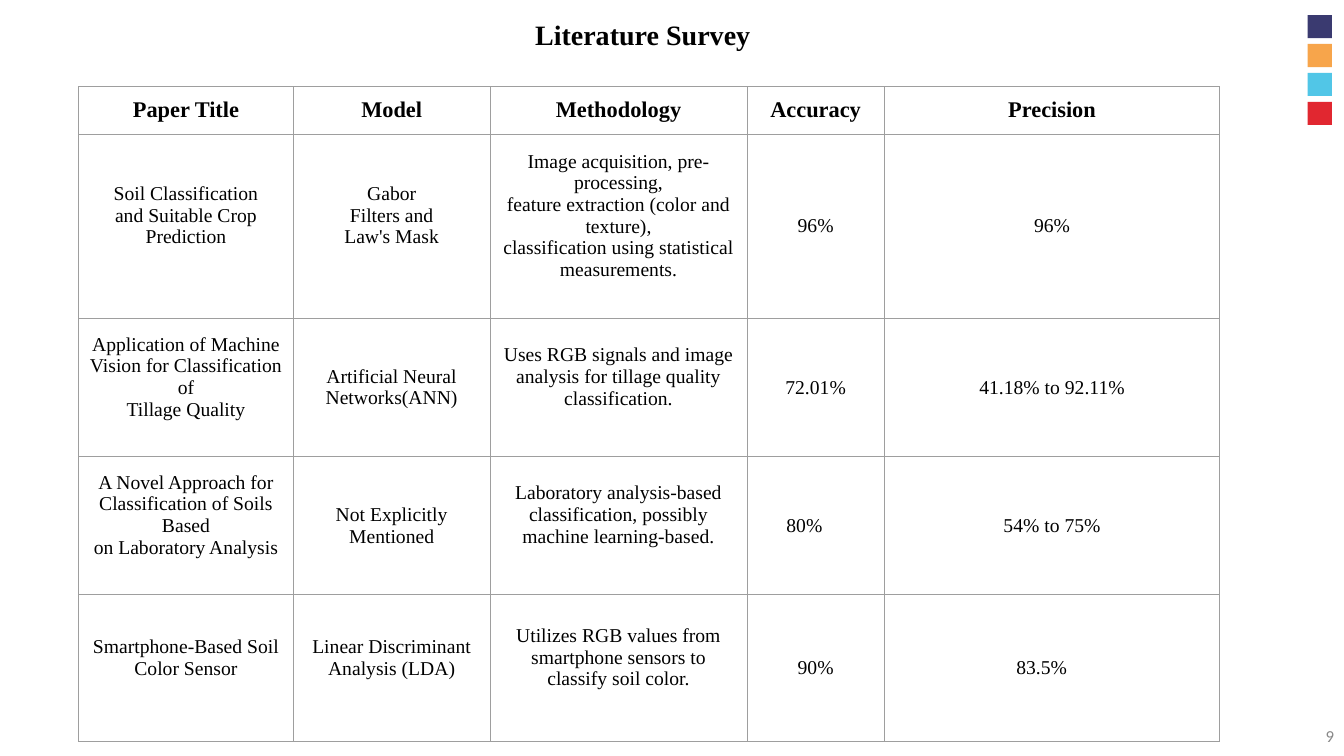
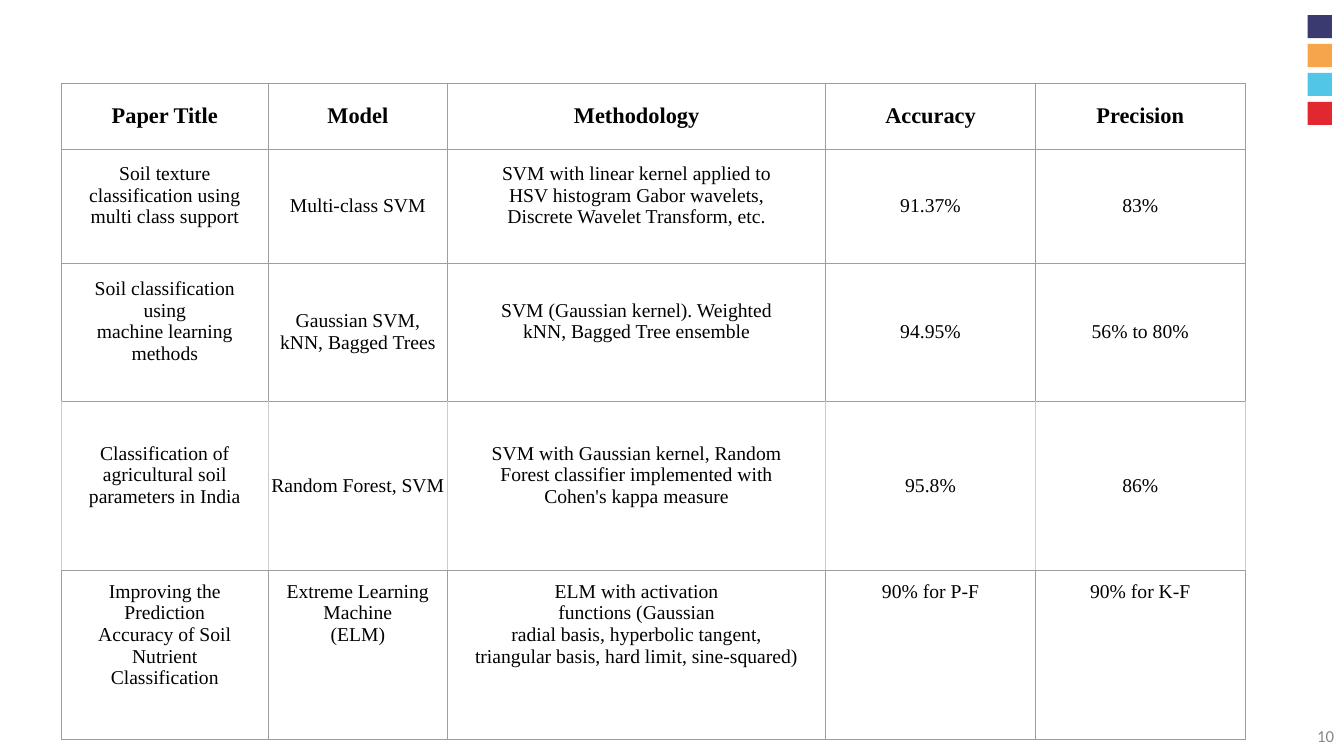
from lxml import etree
from pptx import Presentation
from pptx.dml.color import RGBColor
from pptx.enum.shapes import MSO_SHAPE
from pptx.enum.text import MSO_ANCHOR, MSO_AUTO_SIZE, PP_ALIGN
from pptx.oxml.ns import qn
from pptx.util import Inches, Pt

BLACK = RGBColor(0x00, 0x00, 0x00)
GREY = RGBColor(0x88, 0x88, 0x88)
RULE = RGBColor(0x9E, 0x9E, 0x9E)
PALE_RULE = RGBColor(0xCC, 0xCC, 0xCC)
SQUARE_COLORS = (
    RGBColor(0x3A, 0x3A, 0x70),
    RGBColor(0xF7, 0xA5, 0x4B),
    RGBColor(0x51, 0xC6, 0xE7),
    RGBColor(0xE1, 0x27, 0x30),
)

SERIF = "Times New Roman"
SANS = "Calibri"
TITLE_ONLY, BLANK = 5, 6
INSET = 0.1
TIGHT_INSET = 0.02
# Room kept below cells that hold several lines
LINE_SPACE = 0.21

HEADERS = ("Paper Title", "Model", "Methodology", "Accuracy", "Precision")

FIRST_PAPERS = (
    ("Soil Classification\nand Suitable Crop\nPrediction",
     "Gabor\nFilters and\nLaw's Mask",
     "Image acquisition, pre-processing,\n"
     "feature extraction (color and texture),\n"
     "classification using statistical\nmeasurements.",
     "96%", "96%"),
    ("Application of Machine\nVision for Classification of\nTillage Quality",
     "Artificial Neural Networks(ANN)",
     "Uses RGB signals and image\nanalysis for tillage quality\nclassification.",
     "72.01%", "41.18% to 92.11%"),
    ("A Novel Approach for\nClassification of Soils Based\non Laboratory Analysis",
     "Not Explicitly Mentioned",
     "Laboratory analysis-based\nclassification, possibly\nmachine learning-based.",
     "80%", "54% to 75%"),
    ("Smartphone-Based Soil\nColor Sensor",
     "Linear Discriminant\nAnalysis (LDA)",
     "Utilizes RGB values from\nsmartphone sensors to\nclassify soil color.",
     "90%", "83.5%"),
)

SECOND_PAPERS = (
    ("Soil texture\nclassification using\nmulti class support",
     "Multi-class SVM",
     "SVM with linear kernel applied to\nHSV histogram Gabor wavelets,\n"
     "Discrete Wavelet Transform, etc.",
     "91.37%", "83%"),
    ("Soil classification using\nmachine learning\nmethods",
     "Gaussian SVM, kNN, Bagged Trees",
     "SVM (Gaussian kernel). Weighted\nkNN, Bagged Tree ensemble",
     "94.95%", "56% to 80%"),
    ("Classification of\nagricultural soil\nparameters in India",
     "Random Forest, SVM",
     "SVM with Gaussian kernel, Random\nForest classifier implemented with\n"
     "Cohen's kappa measure",
     "95.8%", "86%"),
    ("Improving the\nPrediction\nAccuracy of Soil\nNutrient\nClassification",
     "Extreme Learning Machine\n(ELM)",
     "ELM with activation\nfunctions (Gaussian\nradial basis, hyperbolic tangent,\n"
     "triangular basis, hard limit, sine-squared)",
     "90% for P-F", "90% for K-F"),
)


def write(tf, text, size, color=BLACK, font=SERIF, bold=False, align=PP_ALIGN.CENTER):
    """Put each line of the text in its own paragraph."""
    for i, line in enumerate(text.split("\n")):
        p = tf.paragraphs[0] if i == 0 else tf.add_paragraph()
        p.alignment = align
        r = p.add_run()
        r.text = line
        r.font.name = font
        r.font.size = Pt(size)
        r.font.bold = bold
        r.font.color.rgb = color


def add_master_squares(prs, slide):
    """Draw the colour squares on a slide and move them to its master."""
    step = (1.01 - 0.15) / 3
    for i, color in enumerate(SQUARE_COLORS):
        sp = slide.shapes.add_shape(MSO_SHAPE.RECTANGLE, Inches(12.97),
                                    Inches(0.15 + i * step), Inches(0.24), Inches(0.23))
        sp.shadow.inherit = False
        sp.fill.solid()
        sp.fill.fore_color.rgb = color
        sp.line.fill.background()
        prs.slide_master.shapes.element.append(sp.element)


def add_page_number(slide, number):
    box = slide.shapes.add_textbox(Inches(10.33), Inches(7.1), Inches(3), Inches(0.4))
    tf = box.text_frame
    tf.word_wrap = True
    tf.vertical_anchor = MSO_ANCHOR.MIDDLE
    write(tf, str(number), 12, GREY, SANS, align=PP_ALIGN.RIGHT)


def set_title(slide, text):
    title = slide.shapes.title
    title.left, title.top = Inches(3.97), Inches(0.07)
    title.width, title.height = Inches(4.81), Inches(0.63)
    tf = title.text_frame
    tf.auto_size = MSO_AUTO_SIZE.NONE
    tf.vertical_anchor = MSO_ANCHOR.TOP
    tf.margin_left = tf.margin_right = tf.margin_top = tf.margin_bottom = Inches(INSET)
    write(tf, text, 20, bold=True)


def set_borders(cell, side_color=RULE, side_width=0.75):
    tc_pr = cell._tc.get_or_add_tcPr()
    sides = (("a:lnL", side_color, side_width), ("a:lnR", side_color, side_width),
             ("a:lnT", RULE, 0.75), ("a:lnB", RULE, 0.75))
    for i, (tag, color, width) in enumerate(sides):
        ln = etree.Element(qn(tag), w=str(Pt(width)))
        fill = etree.SubElement(ln, qn("a:solidFill"))
        etree.SubElement(fill, qn("a:srgbClr"), val=str(color))
        tc_pr.insert(i, ln)


def fill_cell(cell, text, header=False, inset=INSET, indent=None):
    """Write a cell; an indent makes its text start that far from the left."""
    extra = LINE_SPACE if "\n" in text else 0
    cell.fill.background()
    cell.vertical_anchor = MSO_ANCHOR.MIDDLE
    cell.margin_left = Inches(indent or inset)
    cell.margin_right = Inches(inset)
    cell.margin_top = Inches(INSET)
    cell.margin_bottom = Inches(INSET + extra)
    write(cell.text_frame, text, 16 if header else 14, bold=header,
          align=PP_ALIGN.LEFT if indent else PP_ALIGN.CENTER)


def add_survey_table(slide, left, top, widths, heights, papers,
                     indents=None, tight_row=None, top_row=None):
    rows = (HEADERS, *papers)
    table = slide.shapes.add_table(len(rows), len(widths), Inches(left), Inches(top),
                                   Inches(sum(widths)), Inches(sum(heights))).table
    table.first_row = table.horz_banding = False
    for column, width in zip(table.columns, widths):
        column.width = Inches(width)
    for row, height in zip(table.rows, heights):
        row.height = Inches(height)
    for i, texts in enumerate(rows):
        tight = i == tight_row
        for j, text in enumerate(texts):
            cell = table.cell(i, j)
            fill_cell(cell, text, i == 0, TIGHT_INSET if tight else INSET,
                      (indents or {}).get((i, j)))
            if i == top_row:
                cell.vertical_anchor = MSO_ANCHOR.TOP
            if tight:
                set_borders(cell, PALE_RULE, 1)
            else:
                set_borders(cell)


def main():
    prs = Presentation()
    prs.slide_width, prs.slide_height = Inches(13.33), Inches(7.5)

    s = prs.slides.add_slide(prs.slide_layouts[TITLE_ONLY])
    add_master_squares(prs, s)
    add_page_number(s, 9)
    add_survey_table(s, 0.78, 0.86, (2.13, 1.95, 2.55, 1.36, 3.33),
                     (0.47, 1.83, 1.37, 1.37, 1.46), FIRST_PAPERS,
                     indents={(3, 3): 0.39, (4, 4): 1.31})
    set_title(s, "Literature Survey")

    s = prs.slides.add_slide(prs.slide_layouts[BLANK])
    add_page_number(s, 10)
    add_survey_table(s, 0.61, 0.83, (2.05, 1.78, 3.75, 2.08, 2.08),
                     (0.65, 1.13, 1.37, 1.68, 1.68), SECOND_PAPERS,
                     tight_row=3, top_row=4)

    prs.save("out.pptx")


if __name__ == "__main__":
    main()
